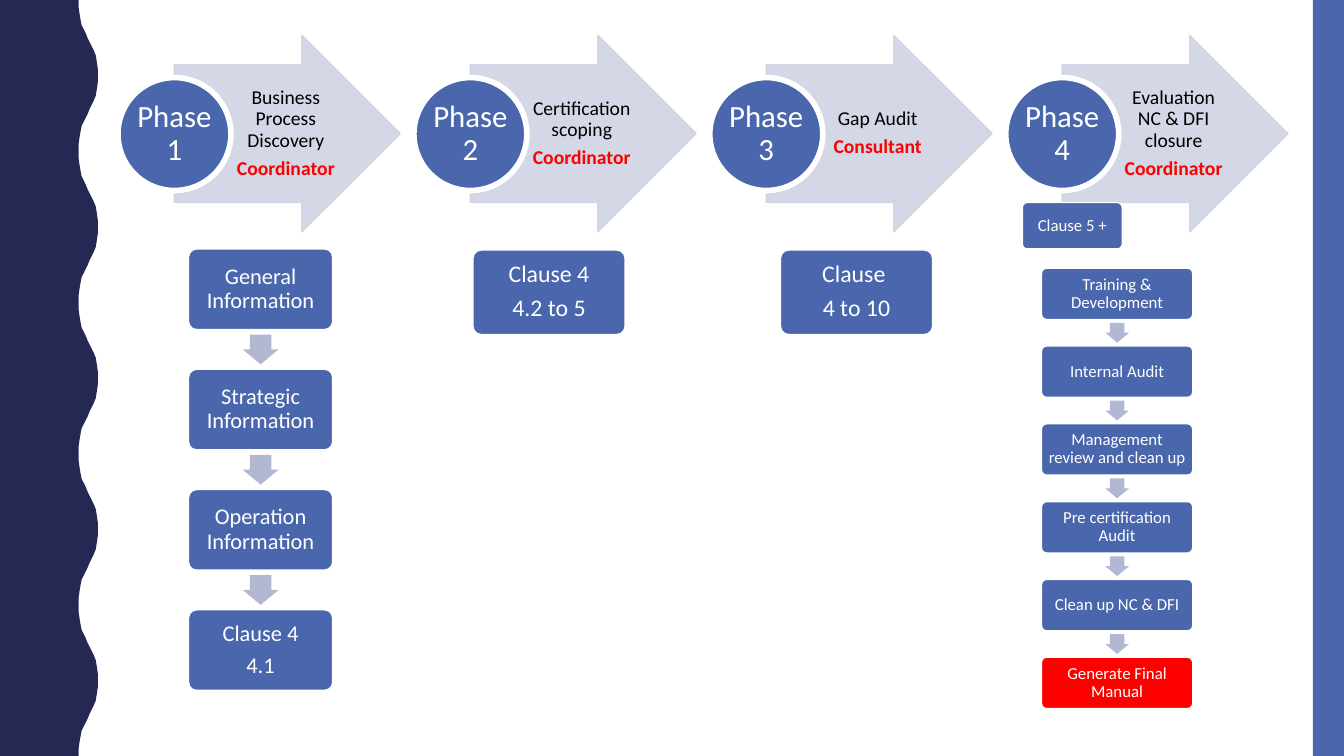
from dataclasses import dataclass

from lxml import etree
from pptx import Presentation
from pptx.dml.color import RGBColor
from pptx.enum import shapes, text
from pptx.oxml import ns
from pptx.util import Inches, Pt


@dataclass(frozen=True)
class Theme:
    """Colours, font and type sizes of the slide."""
    font: str = "Calibri"
    navy: str = "242852"
    blue: str = "4A66AC"
    pale: str = "D0D3E3"
    arrow: str = "B2B8D2"
    red: str = "FF0000"
    white: str = "FFFFFF"
    black: str = "000000"
    phase: int = 22
    clause: int = 17
    step: int = 16
    label: int = 14
    small: int = 12


THEME = Theme()
PHASES = [
    ("Phase 1", "Business Process Discovery", "Coordinator"),
    ("Phase 2", "Certification scoping", "Coordinator"),
    ("Phase 3", "Gap Audit", "Consultant"),
    ("Phase 4", "Evaluation NC & DFI closure", "Coordinator"),
]
DISCOVERY_STEPS = [
    ["General Information"],
    ["Strategic Information"],
    ["Operation Information"],
    ["Clause 4", "4.1"],
]
CLOSURE_STEPS = [
    ["Training & Development"],
    ["Internal Audit"],
    ["Management review and clean up"],
    ["Pre certification Audit"],
    ["Clean up NC & DFI"],
    ["Generate Final Manual"],
]
WAVE_X = [0.78, 0.78, 0.79, 0.8, 0.81, 0.83, 0.85, 0.87,
          0.89, 0.91, 0.93, 0.95, 0.96, 0.97, 0.97]
WAVE_Y = [0, 0.07, 0.14, 0.2, 0.25, 0.29, 0.33, 0.38,
          0.42, 0.46, 0.5, 0.55, 0.61, 0.68, 0.75]


def paint(shape, fill, line=None, width=1):
    """Set the fill and outline of a shape and remove its shadow."""
    shape.shadow.inherit = False
    shape.fill.solid()
    shape.fill.fore_color.rgb = RGBColor.from_string(fill)
    if line:
        shape.line.color.rgb = RGBColor.from_string(line)
        shape.line.width = Pt(width)
    else:
        shape.line.fill.background()


def add_preset(slide, kind, box, adjustments=()):
    """Add a preset shape in a box given in inches."""
    shape = slide.shapes.add_shape(kind, *map(Inches, box))
    for index, value in enumerate(adjustments):
        shape.adjustments[index] = value
    return shape


def write(shape, lines, size, insets, color=THEME.white):
    """Write centred paragraphs and return them."""
    frame = shape.text_frame
    frame.word_wrap = True
    frame.vertical_anchor = text.MSO_ANCHOR.MIDDLE
    (frame.margin_left, frame.margin_top,
     frame.margin_right, frame.margin_bottom) = map(Inches, insets)
    frame.text = "\n".join(lines)
    for paragraph in frame.paragraphs:
        paragraph.alignment = text.PP_ALIGN.CENTER
        paragraph.line_spacing = 0.9
        paragraph.space_after = Pt(round(size * 0.35, 1))
        paragraph.font.name = THEME.font
        paragraph.font.size = Pt(size)
        paragraph.font.color.rgb = RGBColor.from_string(color)
    return frame.paragraphs


def add_wave(slide, height):
    """Draw the wavy left edge from repeated half waves."""
    half = WAVE_Y[-1]
    points = []
    for index in range(round(height / half)):
        across = WAVE_X[::-1] if index % 2 else WAVE_X
        points += [(Inches(x), Inches(index * half + y)) for x, y in zip(across, WAVE_Y)]
    builder = slide.shapes.build_freeform(0, 0)
    builder.add_line_segments(points + [(0, Inches(height))], close=True)
    paint(builder.convert_to_shape(), THEME.navy)


def add_phase(slide, left, top, phase, task, owner):
    """Place one phase: arrow, task label and numbered circle."""
    arrow = add_preset(slide, shapes.MSO_SHAPE.RIGHT_ARROW,
                       (left + 0.56, top, 2.24, 1.95), (0.7, 0.5))
    paint(arrow, THEME.pale, THEME.pale)
    for color in arrow.element.spPr.iter(ns.qn("a:srgbClr")):
        etree.SubElement(color, ns.qn("a:alpha"), val="90000")

    label = slide.shapes.add_textbox(*map(Inches, (left + 1.11, top + 0.29, 1.09, 1.37)))
    paragraphs = write(label, [task, owner], THEME.label,
                       (0.04, 0.01, 0.02, 0.01), THEME.black)
    paragraphs[1].font.bold = True
    paragraphs[1].font.color.rgb = RGBColor.from_string(THEME.red)

    circle = add_preset(slide, shapes.MSO_SHAPE.OVAL, (left, top + 0.42, 1.12, 1.12))
    paint(circle, THEME.blue, THEME.white, 4)
    write(circle, [phase], THEME.phase, [0.02] * 4)


def add_box(slide, box, lines, size, inset=0.07, fill=THEME.blue):
    """Place one rounded box with its text."""
    shape = add_preset(slide, shapes.MSO_SHAPE.ROUNDED_RECTANGLE, box, [0.1])
    paint(shape, fill, THEME.white)
    write(shape, lines, size, [inset] * 4)


def add_flow(slide, box, steps, step_height, size, inset, last_fill=THEME.blue):
    """Stack steps evenly in a box with down arrows in the gaps."""
    left, top, width, height = box
    gap = (height - len(steps) * step_height) / (len(steps) - 1)
    arrow_width, arrow_height = gap * 0.9, gap * 0.75
    for index, lines in enumerate(steps):
        y = top + index * (step_height + gap)
        last = index == len(steps) - 1
        add_box(slide, (left, y, width, step_height), lines, size, inset,
                last_fill if last else THEME.blue)
        if not last:
            arrow_box = (left + (width - arrow_width) / 2,
                         y + step_height + (gap - arrow_height) / 2,
                         arrow_width, arrow_height)
            arrow = add_preset(slide, shapes.MSO_SHAPE.DOWN_ARROW, arrow_box, (0.6, 0.5))
            paint(arrow, THEME.arrow)


def main():
    """Build and save the phase overview."""
    presentation = Presentation()
    presentation.slide_width = Inches(13.33)
    presentation.slide_height = Inches(7.5)
    slide = presentation.slides.add_slide(presentation.slide_layouts[6])

    add_wave(slide, 7.5)
    paint(add_preset(slide, shapes.MSO_SHAPE.RECTANGLE, (13.02, 0, 0.31, 7.5)), THEME.blue)
    for index, phase in enumerate(PHASES):
        add_phase(slide, 1.17 + index * 2.935, 0.35, *phase)

    add_flow(slide, (1.87, 2.47, 1.43, 4.38), DISCOVERY_STEPS, 0.8, THEME.step, 0.07)
    add_box(slide, (4.69, 2.48, 1.51, 0.84), ["Clause 4", "4.2 to 5"], THEME.clause)
    add_box(slide, (7.74, 2.48, 1.51, 0.84), ["Clause ", "4 to 10"], THEME.clause)
    add_flow(slide, (10.33, 2.66, 1.5, 4.37), CLOSURE_STEPS, 0.51, THEME.small, 0.05,
             THEME.red)
    add_box(slide, (10.14, 2.01, 0.99, 0.46), ["Clause 5 +"], THEME.small)

    presentation.save("out.pptx")


if __name__ == "__main__":
    main()
